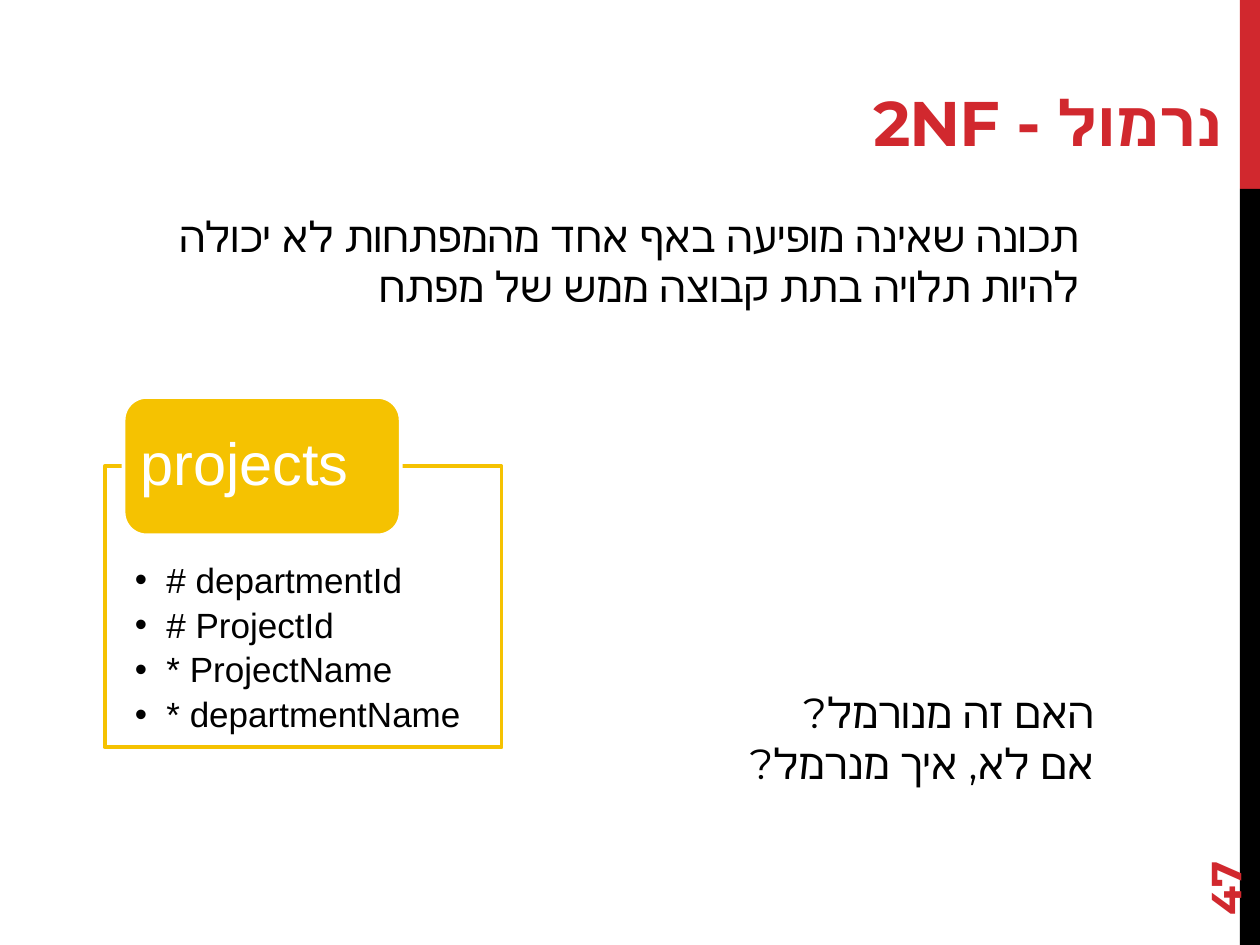
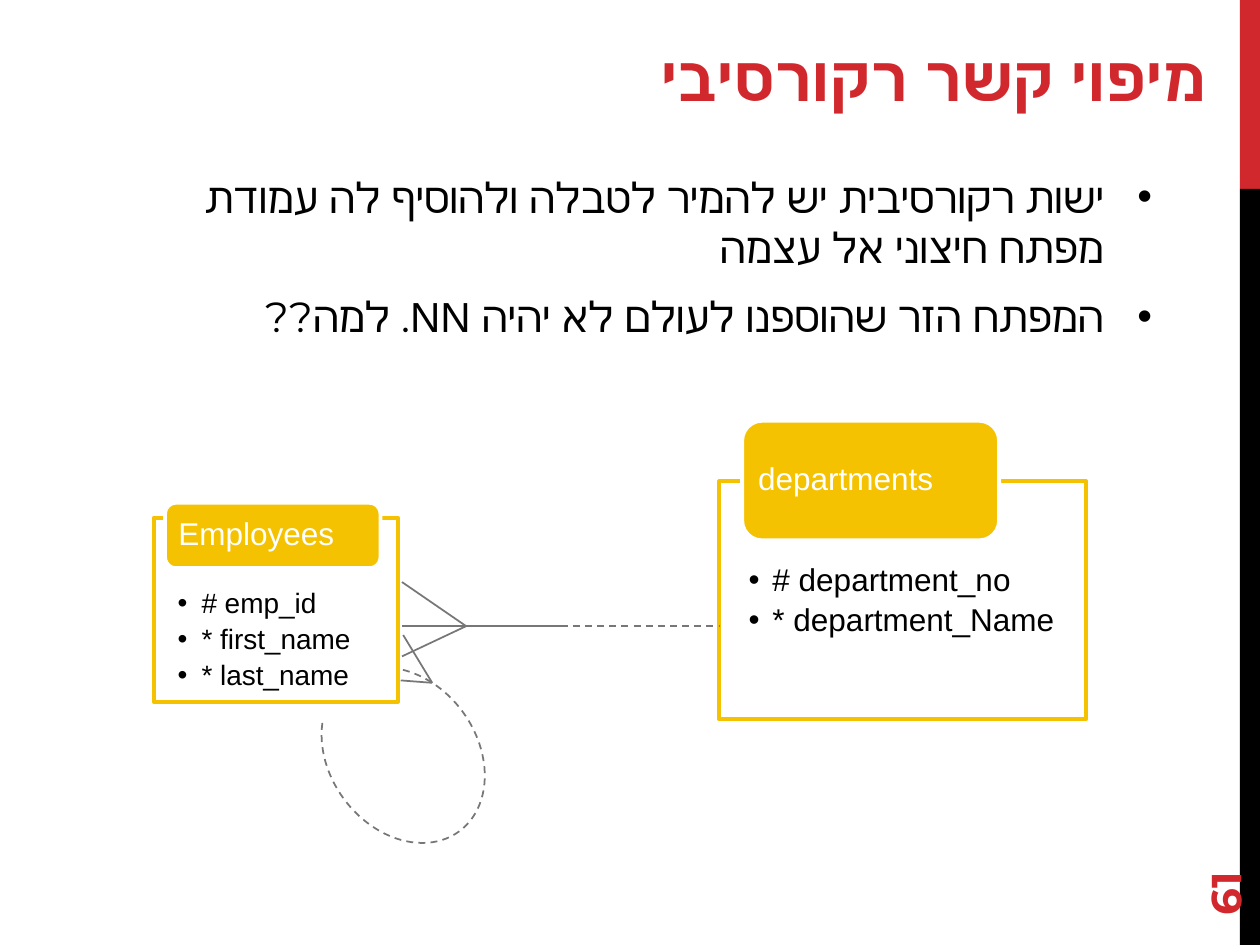
from pptx import Presentation
from pptx.dml.color import RGBColor
from pptx.enum.dml import MSO_LINE_DASH_STYLE as Dash
from pptx.enum.shapes import MSO_CONNECTOR_TYPE as Connector, MSO_SHAPE as Preset
from pptx.enum.text import MSO_ANCHOR as Anchor, PP_ALIGN as Align
from pptx.oxml.ns import qn
from pptx.util import Pt
from lxml.etree import SubElement

RED = RGBColor(0xD1, 0x28, 0x2E)
BLACK = RGBColor(0x00, 0x00, 0x00)
WHITE = RGBColor(0xFF, 0xFF, 0xFF)
GOLD = RGBColor(0xF5, 0xC2, 0x01)
GRAY = RGBColor(0x77, 0x77, 0x77)

BODY_FONT = "Arial"
TITLE_FONT = "Montserrat"
PAGE_WIDTH, PAGE_HEIGHT = 720, 540
BAND_WIDTH, BAND_SPLIT = 11.5, 108


def points(*lengths):
    return [Pt(length) for length in lengths]


def write(shape, lines, size=24, color=BLACK, font=BODY_FONT, bold=False,
          align=Align.RIGHT, rtl=True, anchor=Anchor.TOP, insets=(7.2, 3.6, 7.2, 3.6),
          indent=0, before=0, after=0, spacing=None, tracking=None):
    """Fill a shape with one paragraph per line; an indent also gives bullets."""
    frame = shape.text_frame
    frame.word_wrap = True
    frame.vertical_anchor = anchor
    (frame.margin_left, frame.margin_top,
     frame.margin_right, frame.margin_bottom) = points(*insets)
    for index, line in enumerate(lines):
        para = frame.paragraphs[0] if index == 0 else frame.add_paragraph()
        para.alignment = align
        para.space_before = Pt(before if index else 0)
        para.space_after = Pt(after)
        if spacing:
            para.line_spacing = spacing
        properties = para._p.get_or_add_pPr()
        properties.set("rtl", str(int(rtl)))
        if indent:
            properties.set("marL", str(Pt(indent)))
            properties.set("indent", str(-Pt(indent)))
            SubElement(properties, qn("a:buFont"), typeface=BODY_FONT)
            SubElement(properties, qn("a:buChar"), char="•")
        span = para.add_run()
        span.text = line
        span.font.size = Pt(size)
        span.font.bold = bold
        span.font.name = font
        span.font.color.rgb = color
        # Hebrew letters take the complex-script font
        span_properties = span._r.get_or_add_rPr()
        SubElement(span_properties, qn("a:cs"), typeface=TITLE_FONT)
        if tracking:
            span_properties.set("spc", str(round(tracking * 100)))


def add_text(page, box, lines, **style):
    shape = page.shapes.add_textbox(*points(*box))
    write(shape, lines, **style)
    return shape


def add_block(page, preset, box, fill, line=None):
    shape = page.shapes.add_shape(preset, *points(*box))
    shape.shadow.inherit = False
    shape.fill.solid()
    shape.fill.fore_color.rgb = fill
    if line is None:
        shape.line.fill.background()
    else:
        shape.line.color.rgb = line
        shape.line.width = Pt(2.25)
    return shape


def style_stroke(shape, dashed):
    shape.line.color.rgb = GRAY
    shape.line.width = Pt(1)
    if dashed:
        shape.line.dash_style = Dash.DASH


def add_line(page, start, end, dashed=False):
    line = page.shapes.add_connector(Connector.STRAIGHT, *points(*start, *end))
    SubElement(line._element.spPr, qn("a:effectLst"))
    style_stroke(line, dashed)


def add_page(deck, title, title_box, number):
    """Start a page with its side bands, title and turned page number."""
    page = deck.slides.add_slide(deck.slide_layouts[5])
    left = PAGE_WIDTH - BAND_WIDTH
    add_block(page, Preset.RECTANGLE, (left, 0, BAND_WIDTH, BAND_SPLIT), RED)
    add_block(page, Preset.RECTANGLE,
              (left, BAND_SPLIT, BAND_WIDTH, PAGE_HEIGHT - BAND_SPLIT), BLACK)

    heading = page.shapes.title
    heading.left, heading.top, heading.width, heading.height = points(*title_box)
    write(heading, [title], size=36, color=RED, font=TITLE_FONT, bold=True,
          anchor=Anchor.BOTTOM, tracking=-0.6)

    label = add_text(page, (648, 463.7, 103.7, 28.8), [number], color=RED, bold=True,
                     align=Align.LEFT, anchor=Anchor.MIDDLE)
    label.rotation = 270
    return page


def add_entity(page, box, tab, name, fields, name_size, field_size,
               side, top, indent):
    """Draw an entity frame; tab is (left, top, width, height) relative to the box."""
    left, upper, _, _ = box
    frame = add_block(page, Preset.RECTANGLE, box, WHITE, GOLD)
    fill_color = frame.fill._xPr.find(qn("a:solidFill"))[0]
    SubElement(fill_color, qn("a:alpha"), val="90000")
    write(frame, fields, size=field_size, align=Align.LEFT, rtl=False,
          insets=(side, top, 0, 0), indent=indent,
          after=field_size * 0.2, spacing=0.9)

    tab_left, tab_top, tab_width, tab_height = tab
    header = add_block(page, Preset.ROUNDED_RECTANGLE,
                       (left + tab_left, upper + tab_top, tab_width, tab_height),
                       GOLD, WHITE)
    write(header, [name], size=name_size, color=WHITE, align=Align.LEFT,
          anchor=Anchor.MIDDLE, insets=(5.8, 0, 5.8, 0), spacing=0.9)


def add_relation(page, left, right, middle):
    """Many-to-one link: crow's foot on the left, dashed half on the right."""
    tip = (left + 36.7, middle)
    center = (left + right) / 2
    add_line(page, (left, middle), (center, middle))
    add_line(page, (center, middle), (right, middle), dashed=True)
    for rise in (-25.2, 17.3):
        add_line(page, (left, middle + rise), tip)


def add_self_relation(page, box):
    """Dashed loop with a crow's foot at its upper end."""
    left, top, _, _ = box
    loop = page.shapes.add_shape(Preset.ARC, *points(*box))
    loop.shadow.inherit = False
    loop.fill.background()
    loop.rotation = 53.6
    loop.adjustments[0], loop.adjustments[1] = 129.73, 90.62
    style_stroke(loop, dashed=True)
    for across, down in ((54, -26.6), (52.6, -0.7)):
        add_line(page, (left + across, top + down), (left + 70.6, top + 0.7))


def second_normal_form(deck):
    page = add_page(deck, "נרמול - 2NF", (36, 12.2, 669.6, 82.1), "47")
    add_entity(page, (59.8, 266.4, 226.8, 160.6), (10.8, -39.6, 158.4, 79.2),
               "projects",
               ["# departmentId", "# ProjectId", "* ProjectName", "* departmentName"],
               name_size=34, field_size=20, side=17.3, top=55.4, indent=18)
    # Rule and question
    add_text(page, (70.6, 116.6, 553, 65.5),
             ["תכונה שאינה מופיעה באף אחד מהמפתחות לא יכולה להיות תלויה בתת קבוצה ממש של מפתח"])
    add_text(page, (110.9, 388.8, 521.3, 65.5),
             ["האם זה מנורמל?", "אם לא, איך מנרמל?"])


def recursive_relation(deck):
    page = add_page(deck, "מיפוי קשר רקורסיבי", (241.2, 15.1, 455.8, 54), "61")
    add_text(page, (65.5, 94.3, 599.8, 344.2),
             ["ישות רקורסיבית יש להמיר לטבלה ולהוסיף לה עמודת מפתח חיצוני אל עצמה",
              "המפתח הזר שהוספנו לעולם לא יהיה NN. למה??"],
             indent=27.4, before=4.8, after=6)
    # Entities
    add_entity(page, (87.8, 295.9, 139.7, 105.1), (6.5, -8.6, 123.1, 37.4),
               "Employees", ["# emp_id", "* first_name", "* last_name"],
               name_size=18, field_size=16, side=13.7, top=41, indent=13.7)
    add_entity(page, (411.1, 275, 209.5, 136.1), (13, -34.6, 146.9, 68.4),
               "departments", ["# department_no", "* department_Name"],
               name_size=18, field_size=18, side=16.6, top=47.5, indent=13.7)
    # Links
    add_relation(page, left=229.7, right=411.1, middle=357.8)
    add_self_relation(page, (176.4, 389.5, 108, 84.2))


def main():
    deck = Presentation()
    deck.slide_width, deck.slide_height = points(PAGE_WIDTH, PAGE_HEIGHT)
    second_normal_form(deck)
    recursive_relation(deck)
    deck.save("out.pptx")


if __name__ == "__main__":
    main()
